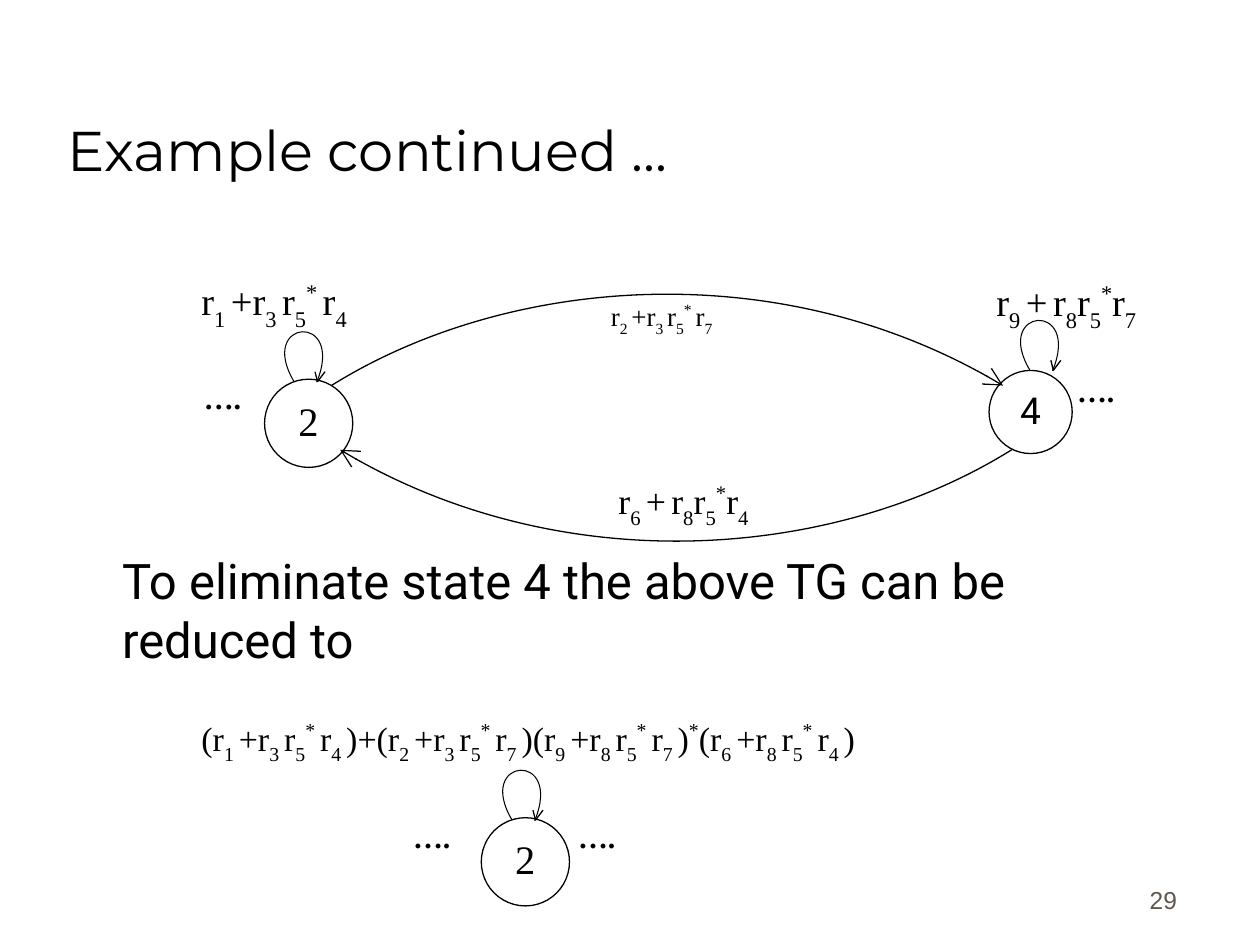
"""Build the slide on eliminating state 4 from a transition graph."""
from lxml import etree
from pptx import Presentation
from pptx.dml.color import RGBColor
from pptx.enum.shapes import MSO_SHAPE as Shape
from pptx.enum.text import MSO_ANCHOR as Anchor, PP_ALIGN as Align
from pptx.oxml.ns import qn
from pptx.util import Inches, Pt

COLORS = {"ink": "000000", "paper": "FFFFFF", "number": "5E574E"}
BASELINES = {"_": "-30000", "^": "40000"}
SERIF = "Times New Roman"


def write(box, text, size, font=SERIF, color="ink", bold=False, align=Align.LEFT,
          anchor=Anchor.TOP, spacing=1.0, insets=(0.1, 0.05, 0.1, 0.05)):
    """Write text in which _ starts a subscript, ^ a superscript and | plain text."""
    frame = box.text_frame
    frame.word_wrap = True
    frame.vertical_anchor = anchor
    (frame.margin_left, frame.margin_top,
     frame.margin_right, frame.margin_bottom) = map(Inches, insets)
    para = frame.paragraphs[0]
    para.alignment = align
    para.line_spacing = spacing
    for mark in "_^|":
        text = text.replace(mark, "~" + mark)
    for piece in text.split("~"):
        span = para.add_run()
        span.text = piece.lstrip("_^|")
        span.font.size = Pt(size)
        span.font.name = font
        span.font.bold = bold
        span.font.color.rgb = RGBColor.from_string(COLORS[color])
        if piece[0] in BASELINES:
            span._r.get_or_add_rPr().set("baseline", BASELINES[piece[0]])


def draw_path(page, left, top, points, width=0.75, rotation=0):
    """Draw a straight stroke through two points or a cubic curve from four."""
    spots = [(Inches(left + x), Inches(top + y)) for x, y in points]
    builder = page.shapes.build_freeform(*spots[0])
    builder.add_line_segments(spots[1:], close=False)
    stroke = builder.convert_to_shape()
    stroke.shadow.inherit = False
    stroke.fill.background()
    stroke.line.width = Pt(width)
    stroke.line.color.rgb = RGBColor.from_string(COLORS["ink"])
    stroke.rotation = rotation
    if len(points) == 4:
        segments = list(stroke._element.iter(qn("a:lnTo")))
        bezier = etree.SubElement(segments[0].getparent(), qn("a:cubicBezTo"))
        for segment in segments:
            bezier.append(segment[0])
            segment.getparent().remove(segment)
    return stroke


deck = Presentation()
deck.slide_width, deck.slide_height = Inches(10), Inches(7.5)
page = deck.slides.add_slide(deck.slide_layouts[6])

states = [
    ("2", 2.1, 3.01, 0.7, 23.1, SERIF),
    ("4", 7.85, 2.94, 0.66, 21.2, "Roboto"),
    ("2", 3.82, 6.49, 0.7, 23.1, SERIF),
]
for name, left, top, side, size, font in states:
    state = page.shapes.add_shape(Shape.OVAL, *map(Inches, (left, top, side, side)))
    state.shadow.inherit = False
    state.fill.solid()
    state.fill.fore_color.rgb = RGBColor.from_string(COLORS["paper"])
    state.line.color.rgb = RGBColor.from_string(COLORS["ink"])
    state.line.width = Pt(0.75)
    write(state, name, size, font=font, align=Align.CENTER, anchor=Anchor.MIDDLE,
          spacing=0.9, insets=(0, 0, 0, 0))

arc_points = [(5.33, 0), (3.97, 0.85), (1.76, 1.06), (0, 0)]
for left, top, rotation in [(2.7, 3.57, 0), (2.63, 2, 180)]:
    arc = draw_path(page, left, top, arc_points, rotation=rotation)
    outline = arc.line._get_or_add_ln()
    etree.SubElement(outline, qn("a:tailEnd"), type="arrow", w="lg", len="lg")

loop_points = [(0.34, 0.59), (0, 0.12), (0.7, 0), (0.52, 0.58)]
for left, top in [(2.02, 2.44), (7.86, 2.35), (3.75, 5.92)]:
    draw_path(page, left, top, loop_points, width=0.6, rotation=5)
    draw_path(page, left, top, [(0.5, 0.59), (0.56, 0.51)])
    draw_path(page, left, top, [(0.48, 0.51), (0.5, 0.59)])

dots = dict(size=17.1, bold=True, spacing=0.8)
reduced = ("(r_1 |+r_3 |r_5^* |r_4 |)+(r_2 |+r_3 |r_5^* |r_7 |)"
           "(r_9 |+r_8 |r_5^* |r_7 |)^*|(r_6 |+r_8 |r_5^* |r_4 |)")
texts = [
    ("Example continued ...", (0.44, 0.25, 8.5, 1.25),
     dict(size=32, font="Montserrat", anchor=Anchor.BOTTOM)),
    ("To eliminate state 4 the above TG can be reduced to", (0.5, 2.06, 8.94, 4.56),
     dict(size=28, font="Roboto", insets=(0.47, 2.31, 0.1, 0.05))),
    ("r_1 |+r_3 |r_5^* |r_4", (1.5, 2.15, 2.29, 0.67), dict(size=22)),
    ("r_9 |+_ |r_8|r_5^*|r_7", (7.81, 2.16, 1.65, 0.67), dict(size=22)),
    ("r_2 |+r_3 |r_5^* |r_7", (4.75, 2.35, 2.33, 0.42), dict(size=15.4, spacing=0.8)),
    ("r_6 |+_ |r_8|r_5^*|r_4", (4.81, 3.75, 1.99, 0.5), dict(size=20.4, spacing=0.9)),
    (reduced, (1.5, 5.67, 7.75, 0.5), dict(size=19.4, spacing=0.8)),
    ("….", (1.52, 3.02, 0.76, 0.42), dots),
    ("….", (8.45, 2.96, 0.76, 0.42), dots),
    ("….", (3.18, 6.5, 0.76, 0.42), dots),
    ("….", (4.49, 6.5, 0.76, 0.42), dots),
    ("29", (7.36, 6.81, 2.08, 0.5),
     dict(size=14, font="Arial", color="number", align=Align.RIGHT, anchor=Anchor.BOTTOM)),
]
for text, place, style in texts:
    write(page.shapes.add_textbox(*map(Inches, place)), text, **style)

deck.save("out.pptx")
